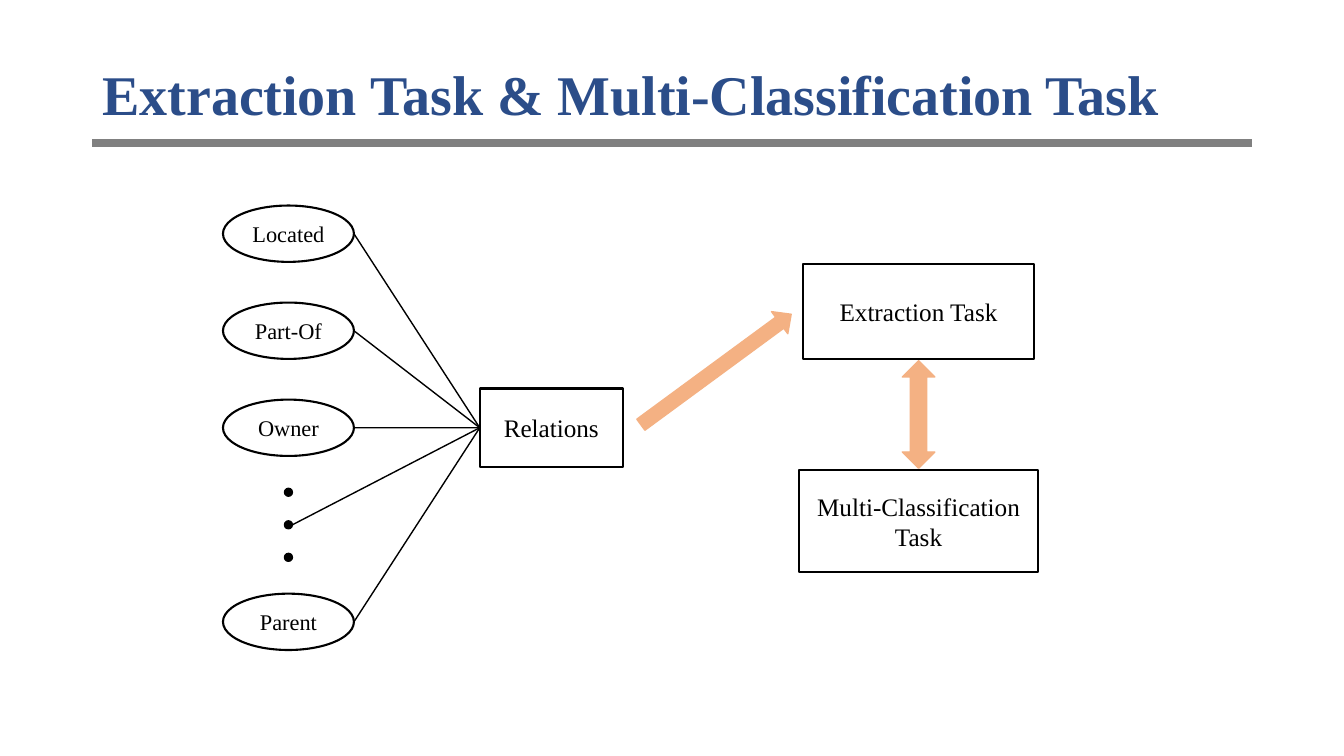
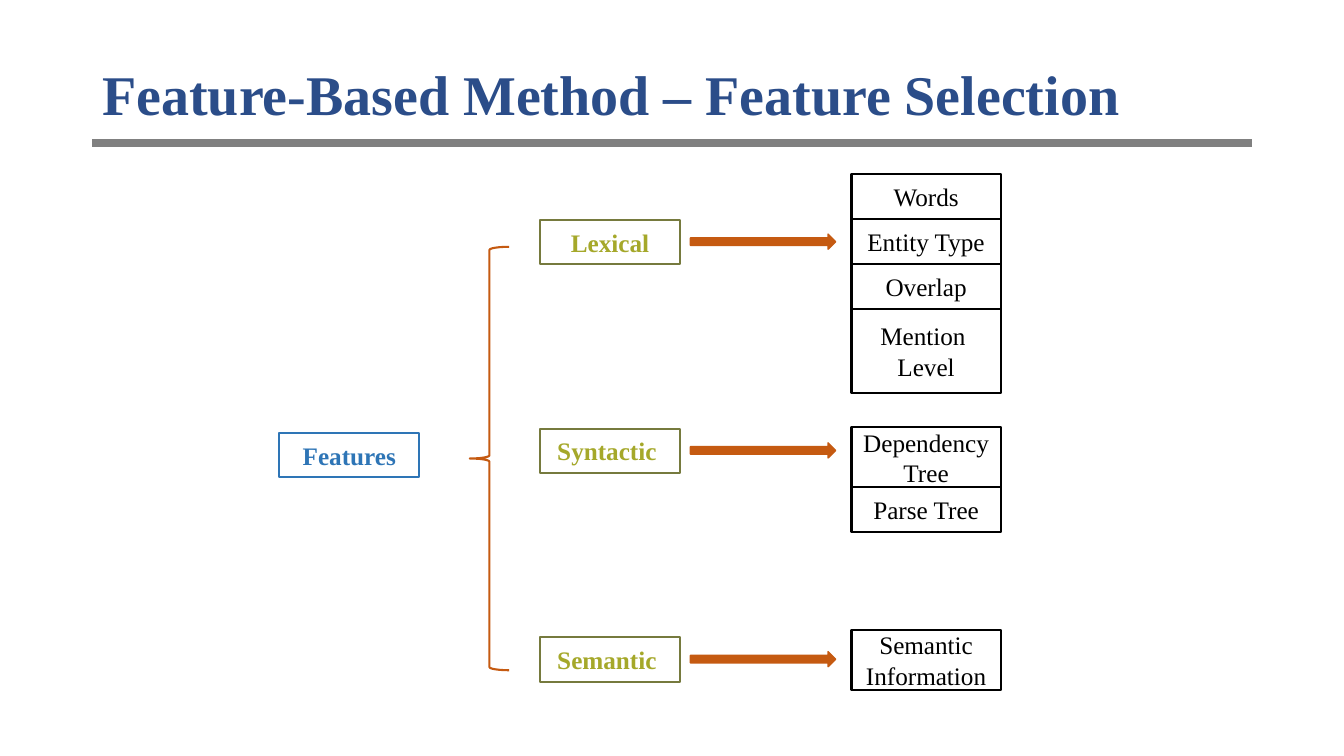
from dataclasses import dataclass
from typing import NamedTuple

from lxml import etree
from pptx import Presentation
from pptx.dml.color import RGBColor
from pptx.enum import shapes, text
from pptx.oxml import ns
from pptx.util import Cm, Pt

SHAPE = shapes.MSO_SHAPE


@dataclass(frozen=True)
class Theme:
    """Colours, font and sizes shared by the slides."""
    font: str = "Times New Roman"
    title: RGBColor = RGBColor.from_string("2B4D89")
    rule: RGBColor = RGBColor.from_string("808080")
    ink: RGBColor = RGBColor.from_string("000000")
    peach: RGBColor = RGBColor.from_string("F4B183")
    rust: RGBColor = RGBColor.from_string("C55A11")
    blue: RGBColor = RGBColor.from_string("2E75B6")
    olive: RGBColor = RGBColor.from_string("767A3E")
    lime: RGBColor = RGBColor.from_string("A5A82A")
    title_pt: float = 40
    body_pt: float = 18
    small_pt: float = 16
    rule_pt: float = 5.75
    outline_pt: float = 1.5
    thin_pt: float = 1


T = Theme()


class Box(NamedTuple):
    """A rectangle in centimetres."""
    x: float
    y: float
    w: float
    h: float

    @property
    def cx(self):
        """Horizontal centre."""
        return self.x + self.w / 2

    @property
    def cy(self):
        """Vertical centre."""
        return self.y + self.h / 2

    def lengths(self):
        """Position and size as slide lengths."""
        return [Cm(v) for v in self]


def centred(cx, cy, w, h):
    """Return a box around a centre point."""
    return Box(cx - w / 2, cy - h / 2, w, h)


def add_run(p, words, size, color, bold=False):
    """Add one styled run to a paragraph."""
    r = p.add_run()
    r.text = words
    r.font.name, r.font.size, r.font.bold = T.font, Pt(size), bold
    r.font.color.rgb = color


def add_shape(s, kind, box, line, width=T.thin_pt, fill=None):
    """Add a preset shape, hollow unless a fill is given."""
    sp = s.shapes.add_shape(kind, *box.lengths())
    sp.shadow.inherit = False
    if fill is None:
        sp.fill.background()
    else:
        sp.fill.solid()
        sp.fill.fore_color.rgb = fill
    sp.line.color.rgb, sp.line.width = line, Pt(width)
    return sp


def add_node(s, box, lines, kind=SHAPE.RECTANGLE, line=T.ink, color=T.ink,
             size=T.body_pt, bold=False):
    """Add an outlined shape with centred text, one paragraph per line."""
    sp = add_shape(s, kind, box, line, T.outline_pt)
    tf = sp.text_frame
    tf.word_wrap = True
    tf.vertical_anchor = text.MSO_ANCHOR.MIDDLE
    for i, words in enumerate(lines):
        p = tf.add_paragraph() if i else tf.paragraphs[0]
        p.alignment = text.PP_ALIGN.CENTER
        add_run(p, words, size, color, bold)
    return sp


def add_line(s, start, end, color, width):
    """Add a straight connector without a shadow."""
    points = [Cm(v) for v in (*start, *end)]
    cn = s.shapes.add_connector(shapes.MSO_CONNECTOR.STRAIGHT, *points)
    cn.line.color.rgb, cn.line.width = color, Pt(width)
    etree.SubElement(cn._element.spPr, ns.qn("a:effectLst"))
    return cn


def add_header(s, box, words):
    """Add the slide title and the rule below it."""
    tf = s.shapes.add_textbox(*box.lengths()).text_frame
    tf.word_wrap = True
    tf.vertical_anchor = text.MSO_ANCHOR.MIDDLE
    p = tf.paragraphs[0]
    p.line_spacing = 0.9
    add_run(p, words, T.title_pt, T.title, True)
    y = box.y + 2.59
    add_line(s, (box.x, y), (box.x + box.w, y), T.rule, T.rule_pt)


def relation_fan(s, box):
    """Add the relation types on evenly spaced rows, joined to one hub."""
    w, h, dot, dot_gap = 3.3, 1.42, 0.2, 0.82
    hub_box = Box(box.x + box.w - 3.61, box.cy - 0.99, 3.61, 1.98)
    hub = add_node(s, hub_box, ["Relations"])
    names = ["Located", "Part-Of", "Owner", None, "Parent"]
    pitch = (box.h - h) / (len(names) - 1)
    for i, name in enumerate(names):
        row = Box(box.x, box.y + i * pitch, w, h)
        if name:
            add_node(s, row, [name], SHAPE.OVAL, size=T.small_pt)
            start_x = row.x + w
        else:
            for k in (-1, 0, 1):
                add_shape(s, SHAPE.OVAL, centred(row.cx, row.cy + k * dot_gap, dot, dot),
                          T.ink, fill=T.ink)
            start_x = row.cx + dot / 2
        cn = add_line(s, (start_x, row.cy), (hub_box.x, hub_box.cy), T.ink, T.thin_pt)
        cn.end_connect(hub, 1)


def task_pair(s, box):
    """Add the two tasks, one above the other, with a two-way arrow between."""
    top_h, bottom_h, gap = 2.39, 2.57, 0.05
    add_node(s, Box(box.x + 0.1, box.y, box.w - 0.2, top_h), ["Extraction Task"])
    add_node(s, Box(box.x, box.y + box.h - bottom_h, box.w, bottom_h),
             ["Multi-Classification Task"])
    arrow = Box(box.cx - 0.41, box.y + top_h + gap, 0.82,
                box.h - top_h - bottom_h - 2 * gap)
    add_shape(s, SHAPE.UP_DOWN_ARROW, arrow, T.peach, fill=T.peach)


def slanted_arrow(s, box):
    """Add the arrow that leads from the relations up to the tasks."""
    sp = add_shape(s, SHAPE.DOWN_ARROW, box, T.peach, fill=T.peach)
    sp.adjustments[1] = 0.52
    sp.rotation = 233.7


def feature_root(s, box):
    """Add the root label and the brace that opens to its branches."""
    add_node(s, Box(box.x, box.cy - 0.65, 3.53, 1.12), ["Features"],
             line=T.blue, color=T.blue, bold=True)
    brace = add_shape(s, SHAPE.LEFT_BRACE, Box(box.x + box.w - 0.99, box.y, 0.99, box.h),
                      T.rust, T.outline_pt)
    brace.adjustments[0], brace.adjustments[1] = 0.08, 0.5


def feature_branch(s, box, name, stack_top, cells):
    """Add a label, its arrow and the stack of features it leads to."""
    add_node(s, Box(box.x, box.y, 3.53, box.h), [name],
             line=T.olive, color=T.lime, bold=True)
    add_shape(s, SHAPE.RIGHT_ARROW, Box(box.x + 3.79, box.cy - 0.2, 3.66, 0.38),
              T.rust, fill=T.rust)
    y, w = stack_top, 3.76
    for height, lines in cells:
        add_node(s, Box(box.x + box.w - w, y, w, height), lines)
        y += height


BRANCHES = [
    ("Lexical", 4.39, [(1.13, ["Words"]), (1.13, ["Entity Type"]),
                       (1.13, ["Overlap"]), (2.13, ["Mention ", "Level"])]),
    ("Syntactic ", 10.77, [(1.5, ["Dependency", "Tree"]), (1.14, ["Parse Tree"])]),
    ("Semantic ", 15.88, [(1.5, ["Semantic", "Information"])]),
]


def new_slide(prs, title):
    """Add a blank slide with the shared header."""
    s = prs.slides.add_slide(prs.slide_layouts[6])
    add_header(s, Box(2.33, 1.02, 29.21, 2.87), title)
    return s


def tasks_slide(prs):
    """Build the slide that compares the two tasks."""
    s = new_slide(prs, "Extraction Task & Multi-Classification Task")
    relation_fan(s, Box(5.62, 5.18, 10.08, 11.2))
    task_pair(s, Box(20.14, 6.65, 6.02, 7.77))
    slanted_arrow(s, Box(17.7, 6.96, 0.69, 4.7))


def features_slide(prs):
    """Build the slide that shows the feature tree."""
    s = new_slide(prs, "Feature-Based Method – Feature Selection")
    feature_root(s, Box(7.04, 6.22, 5.79, 10.67))
    for i, branch in enumerate(BRANCHES):
        feature_branch(s, Box(13.61, 5.54 + i * 5.26, 11.61, 1.12), *branch)


def main():
    """Build and save the presentation."""
    prs = Presentation()
    prs.slide_width, prs.slide_height = Cm(33.87), Cm(19.05)
    tasks_slide(prs)
    features_slide(prs)
    prs.save("out.pptx")


if __name__ == "__main__":
    main()
